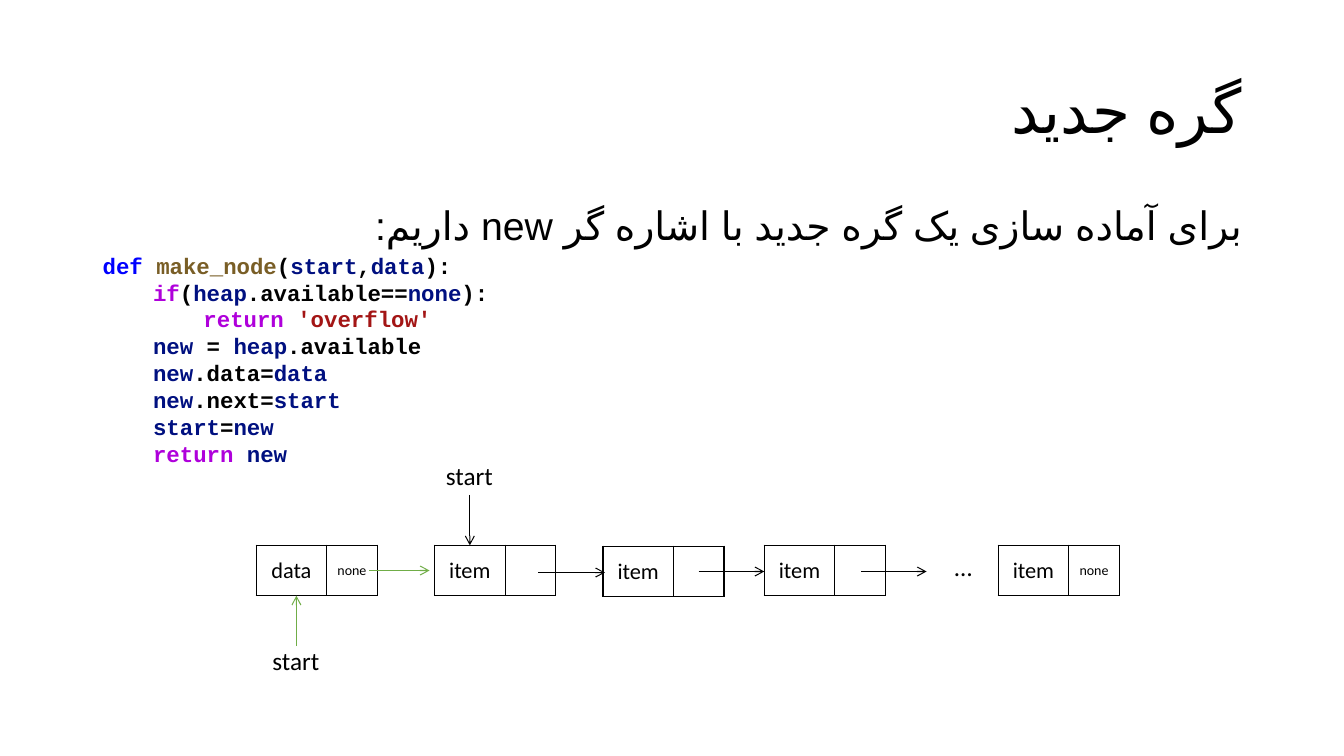
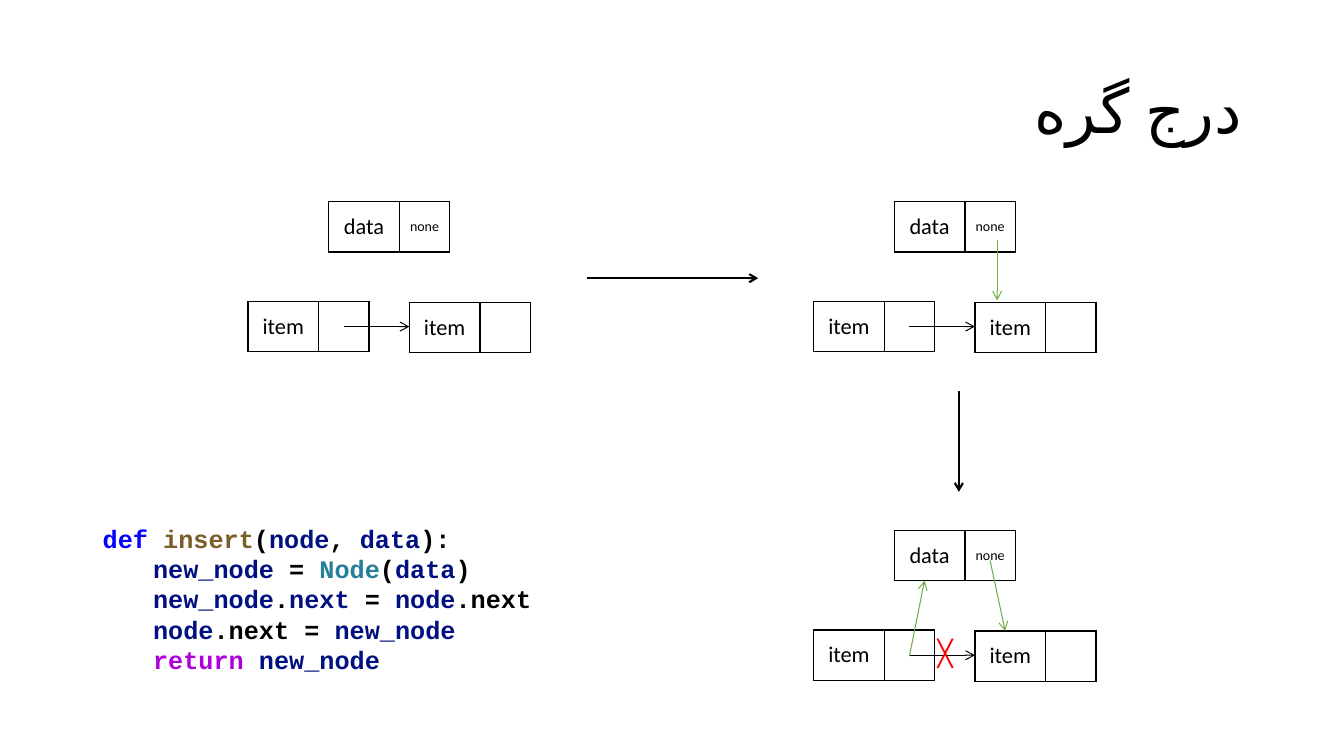
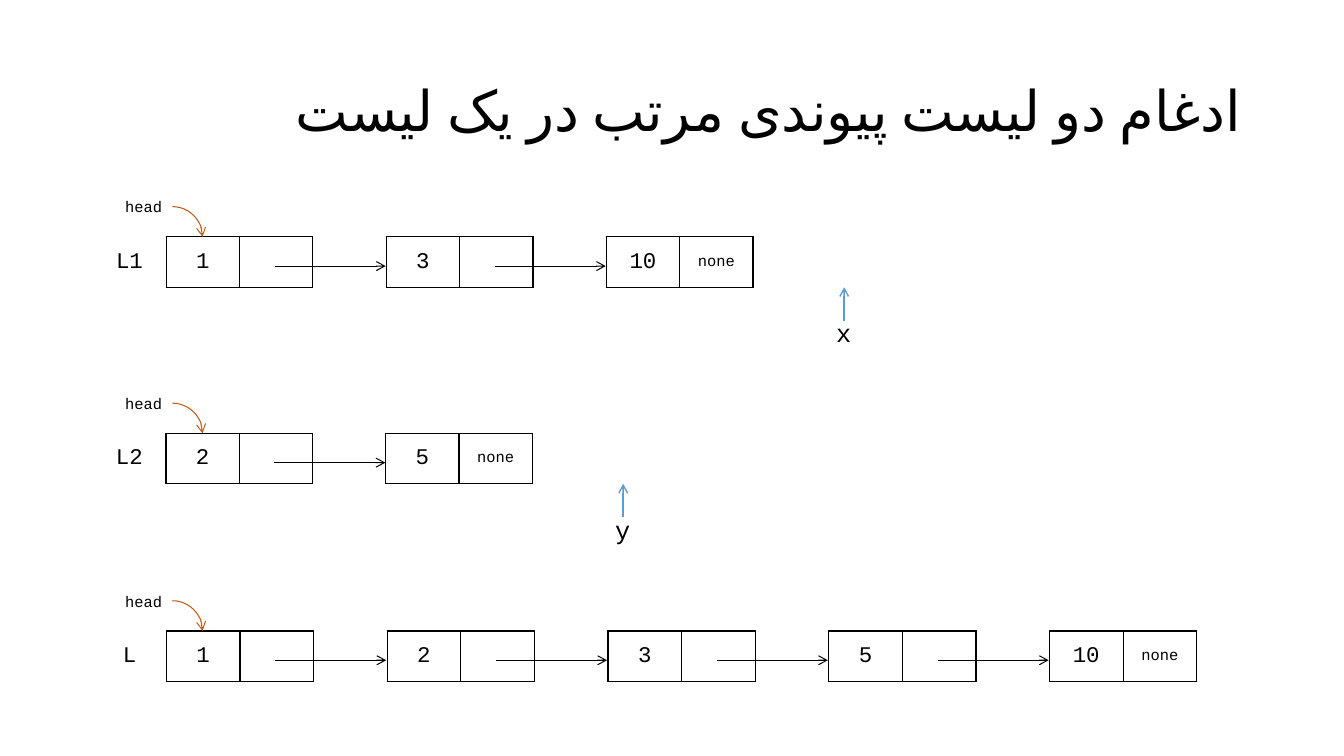
from lxml import etree
from pptx import Presentation
from pptx.dml.color import RGBColor
from pptx.enum.lang import MSO_LANGUAGE_ID
from pptx.enum.shapes import MSO_CONNECTOR, MSO_SHAPE
from pptx.enum.text import MSO_ANCHOR, MSO_AUTO_SIZE, PP_ALIGN
from pptx.oxml.ns import qn
from pptx.util import Inches, Pt

LEFT, CENTER, RIGHT = PP_ALIGN.LEFT, PP_ALIGN.CENTER, PP_ALIGN.RIGHT
MIDDLE = MSO_ANCHOR.MIDDLE
STRAIGHT, ARC = MSO_CONNECTOR.STRAIGHT, MSO_SHAPE.ARC
PERSIAN = MSO_LANGUAGE_ID.FARSI

# Shared look
COLORS = {
    "black": "000000", "green": "70AD47", "orange": "C55A11",
    "blue": "5B9BD5", "red": "FF0000",
    # code tokens
    "def": "0000FF", "func": "795E26", "name": "001080",
    "flow": "AF00DB", "str": "A31515", "class": "267F99",
}
TITLE_FONT, BODY_FONT, LABEL_FONT, CODE_FONT = "Roboto", "Arial", "Calibri", "Courier New"
MARGIN, CONTENT_W = 0.92, 11.5
INDENT = 0.5
NODE_COLS, ROW_H = (0.7, 0.5), 0.5
ALL_SIDES = "LRTB"

# Slide 1: a new node
NEW_NODE_TITLE = "گره جدید"
NEW_NODE_INTRO = "برای آماده سازی یک گره جدید با اشاره گر new داریم:"
# each line: indent level, then (text, token colour) runs
MAKE_NODE_CODE = [
    (0, [("def ", "def"), ("make_node", "func"), ("(", "black"), ("start", "name"),
         (",", "black"), ("data", "name"), ("):", "black")]),
    (1, [("if", "flow"), ("(", "black"), ("heap", "name"), (".available==", "black"),
         ("none", "name"), ("):", "black")]),
    (2, [("return ", "flow"), ("'overflow'", "str")]),
    (1, [("new", "name"), (" = ", "black"), ("heap", "name"), (".available", "black")]),
    (1, [("new", "name"), (".data=", "black"), ("data", "name")]),
    (1, [("new", "name"), (".next=", "black"), ("start", "name")]),
    (1, [("start", "name"), ("=", "black"), ("new", "name")]),
    (1, [("return ", "flow"), ("new", "name")]),
]
CHAIN_NODES = [
    (2.54, 5.41, "data", "none"), (4.31, 5.41, "item", ""), (5.98, 5.42, "item", ""),
    (7.58, 5.41, "item", ""), (9.9, 5.41, "item", "none"),
]
CHAIN_ARROWS = [
    (8.54, 5.67, 9.19, 5.67, "black"), (6.93, 5.67, 7.58, 5.67, "black"),
    (5.34, 5.68, 6, 5.68, "black"), (4.66, 4.91, 4.66, 5.41, "black"),
    (3.66, 5.66, 4.26, 5.66, "green"), (2.94, 6.41, 2.94, 5.91, "green"),
]
CHAIN_LABELS = [(2.6, 6.35, 0.67, "start"), (4.32, 4.52, 0.67, "start"), (9.21, 5.42, 0.69, "…")]

# Slide 2: inserting a node
INSERT_TITLE = "درج گره"
INSERT_CODE = [
    (0, [("def ", "def"), ("insert", "func"), ("(", "black"), ("node", "name"),
         (", ", "black"), ("data", "name"), ("):", "black")]),
    (1, [("new_node", "name"), (" = ", "black"), ("Node", "class"), ("(", "black"),
         ("data", "name"), (")", "black")]),
    (1, [("new_node", "name"), (".", "black"), ("next", "name"), (" = ", "black"),
         ("node", "name"), (".next", "black")]),
    (1, [("node", "name"), (".next = ", "black"), ("new_node", "name")]),
    (1, [("return ", "flow"), ("new_node", "name")]),
]
STAGES = [(2.46, 2), (8.07, 2), (8.07, 5.26)]
STAGE_NODES = [(0.8, 0, "data", "none"), (0, 0.99, "item", ""), (1.6, 1, "item", "")]
STAGE_LINK = (0.95, 1.6, 1.24)
STEP_ARROWS = [(5.82, 2.76, 7.52, 2.76), (9.51, 3.88, 9.51, 4.88)]
NEW_LINKS = [(9.89, 2.38, 9.89, 2.98), (9.82, 5.56, 9.97, 6.26), (9.02, 6.51, 9.17, 5.76)]

# Slide 3: merging two sorted lists; each list: top, width, label, values, pointer
MERGE_TITLE = "ادغام دو لیست پیوندی مرتب در یک لیست"
LISTS = [
    (2.35, 6.55, "L1", ["1", "3", "10"], "x"),
    (4.3, 4.36, "L2", ["2", "5"], "y"),
    (6.26, 10.95, "L", ["1", "2", "3", "5", "10"], None),
]


def rgb(name):
    return RGBColor.from_string(COLORS[name])


def format_paragraph(paragraph, font, size, color=None, align=LEFT, bold=None):
    paragraph.alignment = align
    paragraph.font.name = font
    paragraph.font.size = Pt(size)
    paragraph.font.bold = bold
    if color:
        paragraph.font.color.rgb = rgb(color)


def format_persian(paragraph, font, size):
    paragraph.line_spacing = 0.9
    format_paragraph(paragraph, font, size, "black", RIGHT)
    properties = paragraph._p.get_or_add_pPr()
    properties.set("rtl", "1")
    complex_font = etree.SubElement(properties.find(qn("a:defRPr")), qn("a:cs"))
    complex_font.set("typeface", font)
    for run in paragraph.runs:
        run.font.language_id = PERSIAN


def new_slide(deck, title, size=44):
    slide = deck.slides.add_slide(deck.slide_layouts[5])
    heading = slide.shapes.title
    heading.left, heading.top = Inches(MARGIN), Inches(0.4)
    heading.width, heading.height = Inches(CONTENT_W), Inches(1.45)
    frame = heading.text_frame
    frame.text = title
    frame.vertical_anchor = MIDDLE
    format_persian(frame.paragraphs[0], TITLE_FONT, size)
    return slide


def add_text(slide, left, top, width, height, text="", wrap=True):
    box = slide.shapes.add_textbox(*map(Inches, (left, top, width, height)))
    frame = box.text_frame
    frame.word_wrap = wrap
    frame.auto_size = MSO_AUTO_SIZE.SHAPE_TO_FIT_TEXT
    frame.text = text
    return frame


def add_label(slide, left, top, width, text, size=18, font=LABEL_FONT, color="black", height=0.4):
    frame = add_text(slide, left, top, width, height, text, wrap=False)
    format_paragraph(frame.paragraphs[0], font, size, color, CENTER)


def add_code(slide, top, width, height, size, lines):
    frame = add_text(slide, MARGIN, top, width, height)
    for number, (level, tokens) in enumerate(lines):
        line = frame.add_paragraph() if number else frame.paragraphs[0]
        line.level = level
        properties = line._p.get_or_add_pPr()
        properties.set("marL", str(Inches(level * INDENT)))
        properties.set("indent", "0")
        format_paragraph(line, CODE_FONT, size, bold=True)
        for text, token in tokens:
            run = line.add_run()
            run.text = text
            run.font.color.rgb = rgb(token)


def add_arrowhead(shape, color, weight):
    shape.line.color.rgb = rgb(color)
    shape.line.width = Pt(weight)
    outline = shape.line._get_or_add_ln()
    etree.SubElement(outline, qn("a:tailEnd")).set("type", "arrow")


def add_arrow(slide, x1, y1, x2, y2, color="black", weight=0.75):
    arrow = slide.shapes.add_connector(STRAIGHT, *map(Inches, (x1, y1, x2, y2)))
    add_arrowhead(arrow, color, weight)
    etree.SubElement(arrow._element.spPr, qn("a:effectLst"))


def set_borders(cell, sides):
    properties = cell._tc.get_or_add_tcPr()
    for side in ALL_SIDES:
        border = etree.SubElement(properties, qn("a:ln" + side), w=str(Pt(1)))
        if side in sides:
            fill = etree.SubElement(border, qn("a:solidFill"))
            etree.SubElement(fill, qn("a:srgbClr")).set("val", COLORS["black"])
        else:
            etree.SubElement(border, qn("a:noFill"))


def add_row(slide, left, top, widths, cells, font, small):
    """Draw a one-row table; each cell is (text, bordered sides)."""
    frame = slide.shapes.add_table(
        1, len(cells), *map(Inches, (left, top, sum(widths), ROW_H)))
    table = frame.table
    table.first_row = table.horz_banding = False
    for column, (width, (text, sides)) in enumerate(zip(widths, cells)):
        table.columns[column].width = Inches(width)
        cell = table.cell(0, column)
        set_borders(cell, sides)
        cell.fill.background()
        cell.vertical_anchor = MIDDLE
        if text:
            cell.text = text
            size = small if text == "none" else 16
            format_paragraph(cell.text_frame.paragraphs[0], font, size, "black", CENTER)


def add_node(slide, left, top, value, link):
    add_row(slide, left, top, NODE_COLS, [(value, ALL_SIDES), (link, ALL_SIDES)], LABEL_FONT, 10)


def add_linked_list(slide, top, width, label, values, pointer):
    cells = [(label, "R")]
    for number, value in enumerate(values):
        last = number == len(values) - 1
        cells += [(value, ALL_SIDES), ("none" if last else "", ALL_SIDES)]
        if not last:
            cells.append(("", "LR"))
    column_w = width / len(cells)
    add_row(slide, MARGIN, top, [column_w] * len(cells), cells, CODE_FONT, 11)

    # head marker
    add_label(slide, 1.14, top - 0.44, 0.57, "head", 11, CODE_FONT, height=0.29)
    head_arc = slide.shapes.add_shape(ARC, *map(Inches, (1.41, top - 0.3, 0.6, 0.6)))
    head_arc.shadow.inherit = False
    head_arc.fill.background()
    add_arrowhead(head_arc, "orange", 0.75)

    # links between nodes
    for number in range(len(values) - 1):
        x = MARGIN + (2.48 + 3 * number) * column_w
        add_arrow(slide, x, top + 0.29, x + 1.1, top + 0.29)

    # pointer past the end of the list
    if pointer:
        x = MARGIN + (3 * len(values) + 1.24) * column_w
        add_arrow(slide, x, top + 0.83, x, top + ROW_H, "blue", 1)
        add_label(slide, x - 0.18, top + 0.75, 0.35, pointer, font=CODE_FONT)


def build_new_node(deck):
    slide = new_slide(deck, NEW_NODE_TITLE)
    intro = add_text(slide, MARGIN, 2, CONTENT_W, 0.55, NEW_NODE_INTRO)
    format_persian(intro.paragraphs[0], BODY_FONT, 28)
    add_code(slide, 2.45, 6.67, 2.26, 16, MAKE_NODE_CODE)
    for node in CHAIN_NODES:
        add_node(slide, *node)
    for arrow in CHAIN_ARROWS:
        add_arrow(slide, *arrow)
    for label in CHAIN_LABELS:
        add_label(slide, *label)


def build_insert(deck):
    slide = new_slide(deck, INSERT_TITLE)
    add_code(slide, 5.14, 4.8, 1.62, 18, INSERT_CODE)
    start, end, link_y = STAGE_LINK
    for left, top in STAGES:
        for dx, dy, value, link in STAGE_NODES:
            add_node(slide, left + dx, top + dy, value, link)
        add_arrow(slide, left + start, top + link_y, left + end, top + link_y)
    for arrow in STEP_ARROWS:
        add_arrow(slide, *arrow, weight=1.5)
    for arrow in NEW_LINKS:
        add_arrow(slide, *arrow, color="green")
    add_label(slide, 9.15, 6.27, 0.45, "╳", color="red")


def build_merge(deck):
    slide = new_slide(deck, MERGE_TITLE, 40)
    for linked_list in LISTS:
        add_linked_list(slide, *linked_list)


def main():
    deck = Presentation()
    deck.slide_width, deck.slide_height = Inches(13.33), Inches(7.5)
    build_new_node(deck)
    build_insert(deck)
    build_merge(deck)
    deck.save("out.pptx")


if __name__ == "__main__":
    main()
